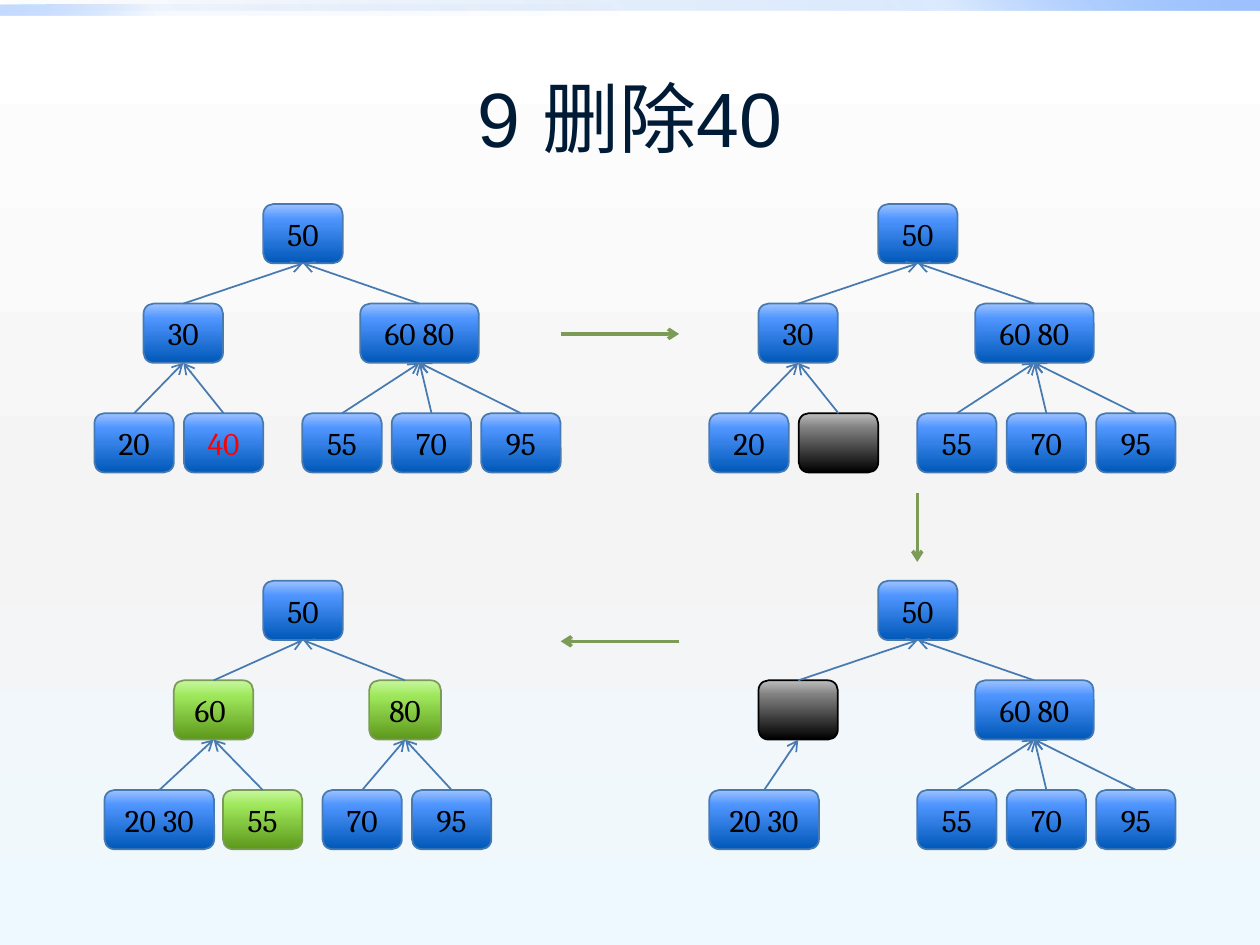
from lxml.etree import SubElement
from pptx import Presentation
from pptx.dml.color import RGBColor
from pptx.enum.shapes import MSO_CONNECTOR, MSO_SHAPE
from pptx.enum.text import MSO_ANCHOR, PP_ALIGN
from pptx.oxml.ns import qn
from pptx.util import Inches, Pt

COLORS = {
    "title": "001B36", "text": "000000", "deleted": "FF0000",
    "blue_line": "477AB1", "green_line": "7B9B57", "black_line": "000000",
}
# Gradient stops: position, colour, opacity (all in percent)
GRADIENTS = {
    "page": [(0, "FFFFFF", 100), (55, "F4F4F4", 100), (100, "EEF9FF", 100)],
    "top_band": [(0, "0058B7", 0), (75, "4F95FF", 20), (100, "9EC2FF", 100)],
    "left_band": [(0, "0058B7", 0), (75, "4F95FF", 5), (100, "9EC2FF", 60)],
    "blue": [(0, "0058B7", 100), (75, "4F95FF", 100), (100, "9EC2FF", 100)],
    "green": [(0, "5D981B", 100), (75, "9FE85C", 100), (100, "C8F7A1", 100)],
    "black": [(0, "000000", 100), (75, "7F7F7F", 100), (100, "BDBDBD", 100)],
}


def write_text(shape, text, size=18, font="Cambria", color="text"):
    frame = shape.text_frame
    frame.word_wrap = True
    frame.vertical_anchor = MSO_ANCHOR.MIDDLE
    paragraph = frame.paragraphs[0]
    paragraph.alignment = PP_ALIGN.CENTER
    run = paragraph.add_run()
    run.text = text
    run.font.size = Pt(size)
    run.font.name = font
    run.font.color.rgb = RGBColor.from_string(COLORS[color])


def fill_gradient(owner, fill, name, angle):
    """Angle is counter-clockwise, in degrees."""
    fill.gradient()
    fill.gradient_angle = angle
    stops = owner.element.find(".//" + qn("a:gsLst"))
    for old in list(stops):
        stops.remove(old)
    for position, color, opacity in GRADIENTS[name]:
        stop = SubElement(stops, qn("a:gs"), pos=str(position * 1000))
        rgb = SubElement(stop, qn("a:srgbClr"), val=color)
        if opacity < 100:
            SubElement(rgb, qn("a:alpha"), val=str(opacity * 1000))


prs = Presentation()
prs.slide_width, prs.slide_height = Inches(10), Inches(7.5)
slide = prs.slides.add_slide(prs.slide_layouts[5])
shapes = slide.shapes

# Background and the two bands along the top edge
fill_gradient(slide, slide.background.fill, "page", 270)
for name, top, width, angle in [("top_band", 0, 10, 45), ("left_band", 0.04, 5, 225)]:
    band = shapes.add_shape(
        MSO_SHAPE.RECTANGLE, 0, Inches(top), Inches(width), Inches(0.08))
    band.shadow.inherit = False
    band.line.fill.background()
    fill_gradient(band, band.fill, name, angle)

# Title
title = shapes.title
title.left, title.top = Inches(0.5), Inches(0.3)
title.width, title.height = Inches(9), Inches(1.25)
write_text(title, "9 删除40", size=44, font="Arial", color="title")

# Trees: each node is text, left, level, width, style, index of its parent
LEVELS = [0, 0.79, 1.66]
NODE_W, NODE_H = 0.63, 0.47
RIGHT_COLUMN = 4.88
root = ("50", 2.09, 0, NODE_W, "blue", None)
unchanged = [root, ("60 80", 2.86, 1, 0.94, "blue", 0)] + [
    (key, 2.4 + i * 0.71, 2, NODE_W, "blue", 1)
    for i, key in enumerate(["55", "70", "95"])]
left_leaf = ("20", 0.75, 2, NODE_W, "blue", 5)
before = unchanged + [
    ("30", 1.14, 1, NODE_W, "blue", 0), left_leaf,
    ("40", 1.46, 2, NODE_W, "blue", 5)]
emptied = unchanged + [
    ("30", 1.14, 1, NODE_W, "blue", 0), left_leaf,
    ("", 1.46, 2, NODE_W, "black", 5)]
merged = unchanged + [
    ("", 1.14, 1, NODE_W, "black", 0),
    ("20 30", 0.75, 2, 0.87, "blue", 5)]
rebalanced = [
    root,
    ("60 ", 1.38, 1, NODE_W, "green", 0), ("80", 2.93, 1, 0.57, "green", 0),
    ("20 30", 0.83, 2, 0.87, "blue", 1), ("55", 1.77, 2, NODE_W, "green", 1),
    ("70", 2.56, 2, NODE_W, "blue", 2), ("95", 3.27, 2, NODE_W, "blue", 2)]

arrows = []  # connector, colour, width
for tree, tree_left, tree_top in [
        (before, 0, 1.62), (emptied, RIGHT_COLUMN, 1.62),
        (merged, RIGHT_COLUMN, 4.61), (rebalanced, 0, 4.61)]:
    nodes = []
    for key, left, level, width, style, parent in tree:
        node = shapes.add_shape(
            MSO_SHAPE.ROUNDED_RECTANGLE,
            Inches(tree_left + left), Inches(tree_top + LEVELS[level]),
            Inches(width), Inches(NODE_H))
        node.shadow.inherit = False
        fill_gradient(node, node.fill, style, 90)
        node.line.color.rgb = RGBColor.from_string(COLORS[style + "_line"])
        node.line.width = Pt(1)
        if key:
            write_text(node, key, color="deleted" if key == "40" else "text")
        nodes.append(node)
        if parent is not None:
            edge = shapes.add_connector(MSO_CONNECTOR.STRAIGHT, 0, 0, 0, 0)
            edge.begin_connect(node, 0)
            edge.end_connect(nodes[parent], 2)
            arrows.append((edge, "blue_line", 1))

# Arrows from one step to the next
for ends in [(4.45, 2.65, 5.39, 2.65), (7.28, 3.91, 7.28, 4.46), (5.39, 5.09, 4.45, 5.09)]:
    step = shapes.add_connector(MSO_CONNECTOR.STRAIGHT, *map(Inches, ends))
    arrows.append((step, "green_line", 2))

# Line style and arrowheads
for arrow, color, width in arrows:
    arrow.line.color.rgb = RGBColor.from_string(COLORS[color])
    arrow.line.width = Pt(width)
    SubElement(arrow.line._get_or_add_ln(), qn("a:tailEnd"), type="arrow")
    SubElement(arrow.element.spPr, qn("a:effectLst"))

prs.save("out.pptx")
